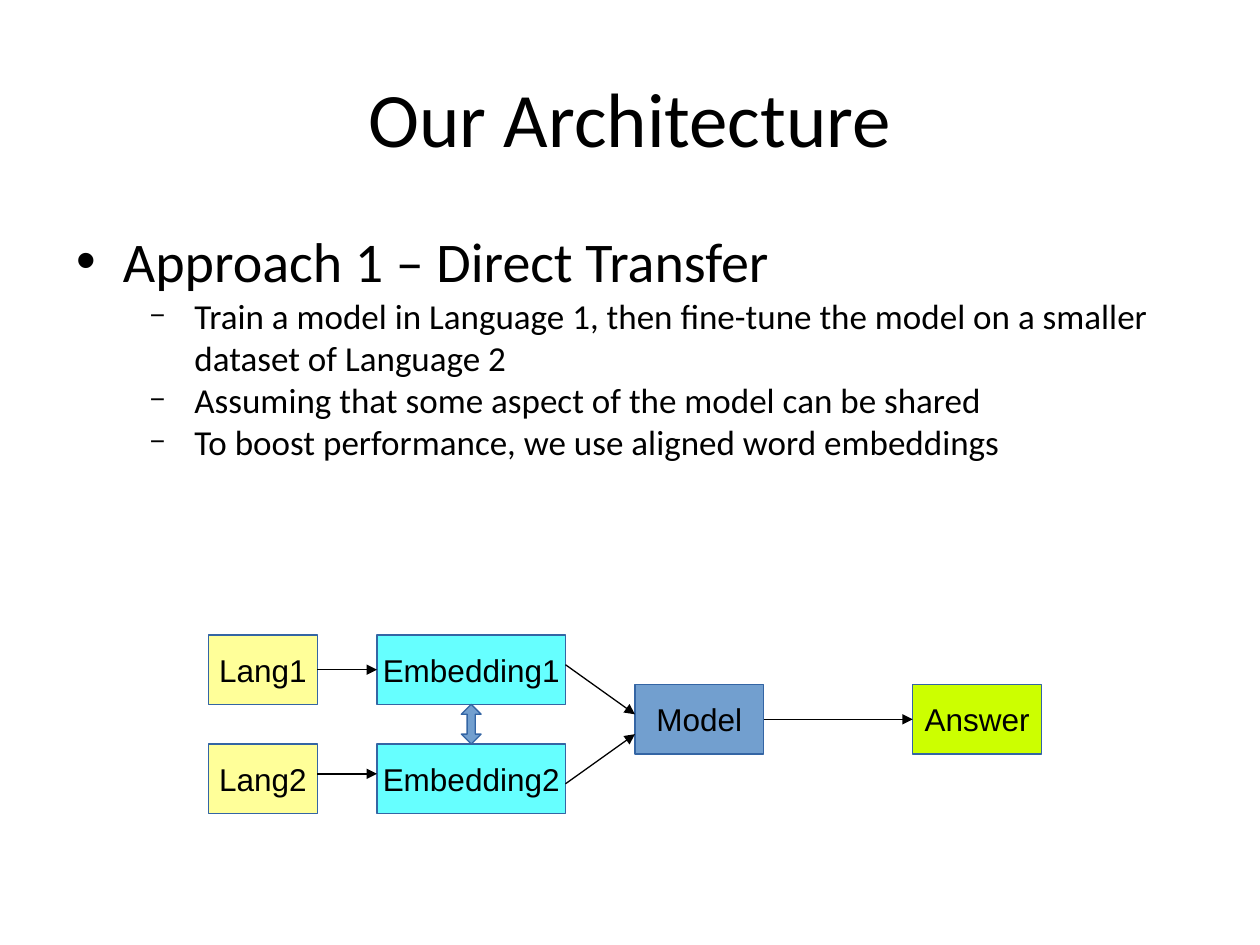
"""Build the slide on the direct transfer architecture."""
from dataclasses import dataclass

from lxml.etree import SubElement
from pptx import Presentation
from pptx.dml.color import RGBColor
from pptx.enum.shapes import MSO_CONNECTOR as CONN, MSO_SHAPE as SHAPE
from pptx.enum.text import MSO_ANCHOR as ANCHOR, MSO_AUTO_SIZE as AUTO, PP_ALIGN as ALIGN
from pptx.oxml.ns import qn
from pptx.util import Cm, Pt

BLACK = RGBColor(0x00, 0x00, 0x00)
BLUE = RGBColor(0x72, 0x9F, 0xCF)
OUTLINE = RGBColor(0x34, 0x65, 0xA4)
YELLOW = RGBColor(0xFF, 0xFF, 0x99)
CYAN = RGBColor(0x66, 0xFF, 0xFF)
LIME = RGBColor(0xCC, 0xFF, 0x00)

BOX_H = 1.4
TOP, MIDDLE, BOTTOM = 12.8, 13.8, 15.0


@dataclass(frozen=True)
class Box:
    text: str
    x: float
    y: float
    w: float
    fill: RGBColor


@dataclass(frozen=True)
class Arrow:
    x1: float
    y1: float
    x2: float
    y2: float


@dataclass(frozen=True)
class Bullet:
    text: str
    level: int = 1


@dataclass(frozen=True)
class BulletStyle:
    char: str
    size: int
    percent: int
    margin: float
    indent: float


BULLET_STYLES = (
    BulletStyle("•", 32, 100, 0.96, -0.94),
    BulletStyle("−", 20, 75, 2.4, -0.9),
)
BULLETS = (
    Bullet("Approach 1 – Direct Transfer", 0),
    Bullet("Train a model in Language 1, then fine-tune the model on a smaller dataset of Language 2"),
    Bullet("Assuming that some aspect of the model can be shared"),
    Bullet("To boost performance, we use aligned word embeddings"),
)
BOXES = (
    Box("Model", 12.8, MIDDLE, 2.6, BLUE),
    Box("Lang1", 4.2, TOP, 2.2, YELLOW),
    Box("Lang2", 4.2, BOTTOM, 2.2, YELLOW),
    Box("Embedding1", 7.6, TOP, 3.8, CYAN),
    Box("Embedding2", 7.6, BOTTOM, 3.8, CYAN),
    Box("Answer", 18.4, MIDDLE, 2.6, LIME),
)
ARROWS = (
    Arrow(6.4, 13.5, 7.6, 13.5),
    Arrow(6.4, 15.6, 7.6, 15.6),
    Arrow(11.4, 13.4, 12.8, 14.4),
    Arrow(11.4, 15.8, 12.8, 14.8),
    Arrow(15.4, 14.5, 18.4, 14.5),
)


def apply(target, values: dict) -> None:
    """Set each attribute named in values."""
    for name, value in values.items():
        setattr(target, name, value)


def add_run(p, text: str, font: str, size: int) -> None:
    """Append black text to a paragraph."""
    r = p.add_run()
    r.text = text
    apply(r.font, {"name": font, "size": Pt(size)})
    r.font.color.rgb = BLACK


def set_title(s) -> None:
    """Place and format the title."""
    sp = s.shapes.title
    apply(sp, {"left": Cm(1.27), "top": Cm(0.76), "width": Cm(22.86), "height": Cm(3.18)})
    tf = sp.text_frame
    apply(tf, {"vertical_anchor": ANCHOR.MIDDLE, "auto_size": AUTO.NONE, "word_wrap": True})
    p = tf.paragraphs[0]
    p.alignment = ALIGN.CENTER
    add_run(p, "Our Architecture", "Calibri", 44)


def set_bullet(p, style: BulletStyle) -> None:
    """Give a paragraph its indent and bullet."""
    pr = p._p.get_or_add_pPr()
    pr.set("marL", str(Cm(style.margin)))
    pr.set("indent", str(Cm(style.indent)))
    color = SubElement(pr, qn("a:buClr"))
    SubElement(color, qn("a:srgbClr"), val=str(BLACK))
    SubElement(pr, qn("a:buSzPct"), val=str(style.percent * 1000))
    SubElement(pr, qn("a:buFont"), typeface="Arial")
    SubElement(pr, qn("a:buChar"), char=style.char)


def add_bullets(s) -> None:
    """Add the two-level list."""
    tf = s.shapes.add_textbox(Cm(1.27), Cm(4.45), Cm(22.86), Cm(12.57)).text_frame
    tf.word_wrap = True
    for i, bullet in enumerate(BULLETS):
        p = tf.add_paragraph() if i else tf.paragraphs[0]
        p.level = bullet.level
        style = BULLET_STYLES[bullet.level]
        set_bullet(p, style)
        add_run(p, bullet.text, "Calibri", style.size)


def add_filled(s, kind: SHAPE, x: float, y: float, w: float, h: float, fill: RGBColor):
    """Add a preset shape with the common outline."""
    sp = s.shapes.add_shape(kind, Cm(x), Cm(y), Cm(w), Cm(h))
    sp.shadow.inherit = False
    sp.fill.solid()
    sp.fill.fore_color.rgb = fill
    sp.line.color.rgb = OUTLINE
    sp.line.width = Pt(0.75)
    return sp


def add_box(s, box: Box) -> None:
    """Add one labelled block."""
    tf = add_filled(s, SHAPE.RECTANGLE, box.x, box.y, box.w, BOX_H, box.fill).text_frame
    apply(tf, {"word_wrap": False, "vertical_anchor": ANCHOR.MIDDLE})
    p = tf.paragraphs[0]
    p.alignment = ALIGN.CENTER
    add_run(p, box.text, "Arial", 18)


def add_arrow(s, a: Arrow) -> None:
    """Add one thin arrow."""
    sp = s.shapes.add_connector(CONN.STRAIGHT, Cm(a.x1), Cm(a.y1), Cm(a.x2), Cm(a.y2))
    sp.line.color.rgb = BLACK
    sp.line.width = Pt(0.75)
    SubElement(sp.line._get_or_add_ln(), qn("a:tailEnd"), type="triangle")
    SubElement(sp._element.spPr, qn("a:effectLst"))


def main() -> None:
    """Build and save the slide."""
    prs = Presentation()
    apply(prs, {"slide_width": Cm(25.4), "slide_height": Cm(19.05)})
    s = prs.slides.add_slide(prs.slide_layouts[5])
    set_title(s)
    add_bullets(s)
    for box in BOXES:
        add_box(s, box)
    for arrow in ARROWS:
        add_arrow(s, arrow)
    link = add_filled(s, SHAPE.UP_DOWN_ARROW, 9.3, TOP + BOX_H, 0.4, BOTTOM - TOP - BOX_H, BLUE)
    link.adjustments[1] = 0.41
    prs.save("out.pptx")


if __name__ == "__main__":
    main()
